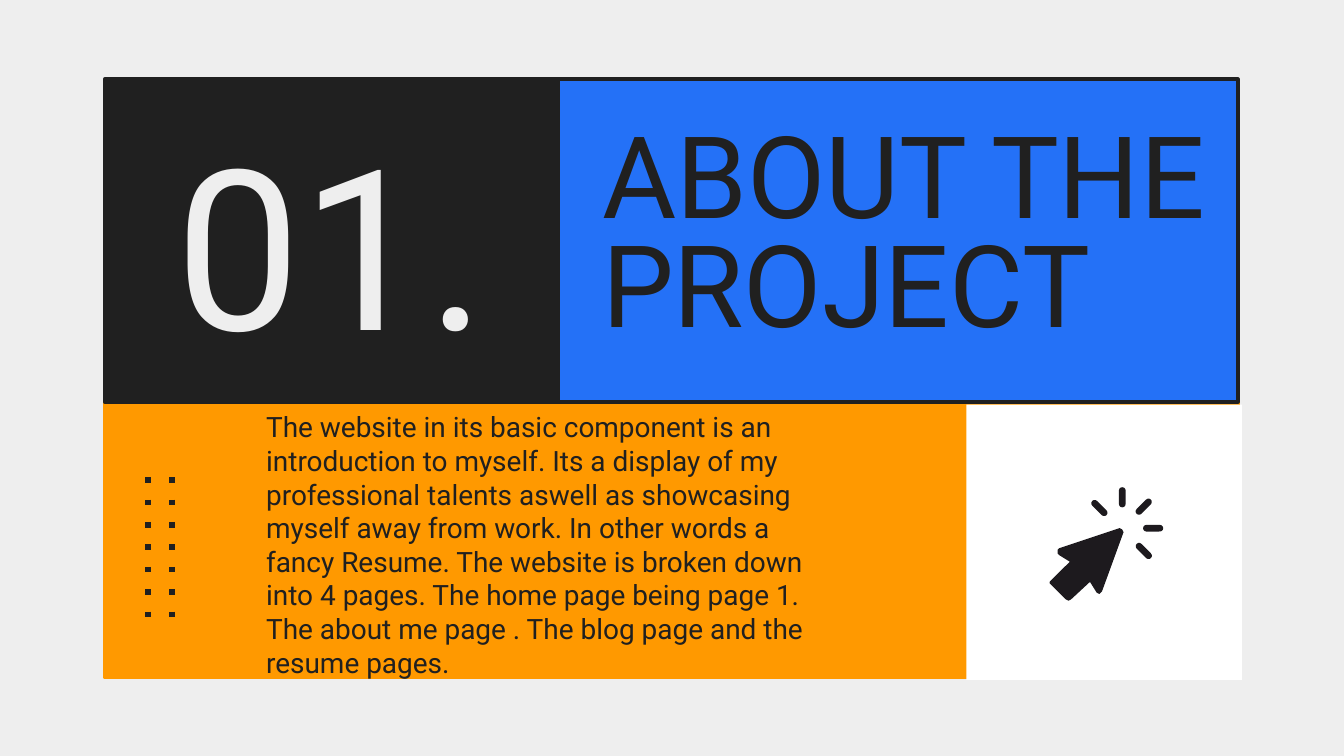
from lxml import etree
from pptx import Presentation
from pptx import util as u
from pptx.dml.color import RGBColor
from pptx.enum import dml, shapes, text
from pptx.oxml.ns import qn

FONT = "Roboto"
DARK, LIGHT, BLUE, ORANGE, WHITE, ICON = (
    "202020", "EEEEEE", "2471F7", "FF9900", "FFFFFF", "1D1A1E")

# Grid: two rows, with the top row split after the number
LEFT, MIDDLE, RIGHT = 0.78, 4.15, 9.21
TOP, ROW = 0.59, 2.4
BOTTOM = TOP + ROW


def rgb(value):
    return RGBColor.from_string(value)


def paint(sp, fill, line=None):
    sp.shadow.inherit = False
    sp.fill.solid()
    sp.fill.fore_color.rgb = rgb(fill)
    if line:
        sp.line.color.rgb = rgb(line)
        sp.line.width = u.Pt(2.25)
    else:
        sp.line.fill.background()


def add_box(s, x, y, w, h, fill, line=None, kind=shapes.MSO_SHAPE.RECTANGLE):
    sp = s.shapes.add_shape(kind, *map(u.Inches, (x, y, w, h)))
    paint(sp, fill, line)
    return sp


def write(sp, words, size, color, align=text.PP_ALIGN.LEFT, spacing=1.0):
    tf = sp.text_frame
    frame = {"word_wrap": True, "auto_size": text.MSO_AUTO_SIZE.NONE,
             "vertical_anchor": text.MSO_ANCHOR.MIDDLE}
    frame.update({f"margin_{side}": u.Inches(0.1)
                  for side in ("left", "right", "top", "bottom")})
    for name, value in frame.items():
        setattr(tf, name, value)
    p = tf.paragraphs[0]
    for name, value in {"alignment": align, "line_spacing": spacing,
                        "space_before": u.Pt(0)}.items():
        setattr(p, name, value)
    r = p.add_run()
    r.text = words
    for name, value in {"name": FONT, "size": u.Pt(size), "bold": False}.items():
        setattr(r.font, name, value)
    r.font.color.rgb = rgb(color)


def fill_placeholder(s, index, box, *args, **kwargs):
    sp = s.placeholders[index]
    sp.left, sp.top, sp.width, sp.height = map(u.Inches, box)
    write(sp, *args, **kwargs)
    s.shapes._spTree.append(sp._element)  # bring in front of the panels


def add_dots(s, x, y1, y2):
    line = s.shapes.add_connector(
        shapes.MSO_CONNECTOR.STRAIGHT, *map(u.Inches, (x, y1, x, y2)))
    line.line.color.rgb = rgb(DARK)
    line.line.width = u.Pt(3)
    line.line.dash_style = dml.MSO_LINE.ROUND_DOT
    line.line._get_or_add_ln().find(qn("a:prstDash")).set("val", "dot")
    etree.SubElement(line._element.spPr, qn("a:effectLst"))


def add_click_icon(s):
    # Pointer, in hundredths of an inch
    points = [(833, 393), (788, 408), (787, 409), (787, 412), (788, 413),
              (796, 418), (782, 432), (781, 433), (781, 434), (782, 435),
              (793, 446), (795, 447), (797, 446), (811, 433), (816, 441),
              (818, 442), (820, 440), (836, 396), (835, 394)]
    builder = s.shapes.build_freeform(*points[0], scale=u.Inches(0.01))
    builder.add_line_segments(points[1:], close=True)
    paint(builder.convert_to_shape(), ICON)
    # Rays: centre and turn of each
    length, width = 0.15, 0.05
    for cx, cy, turn in [(8.18, 3.78, 45), (8.35, 3.7, 90),
                         (8.51, 3.77, 315), (8.58, 3.93, 0), (8.51, 4.1, 45)]:
        ray = add_box(s, cx - length / 2, cy - width / 2, length, width, ICON,
                      kind=shapes.MSO_SHAPE.ROUNDED_RECTANGLE)
        ray.adjustments[0] = 0.5
        ray.rotation = turn


def main():
    prs = Presentation()
    prs.slide_width = u.Inches(10)
    prs.slide_height = prs.slide_width * 9 // 16
    s = prs.slides.add_slide(prs.slide_layouts[0])
    s.background.fill.solid()
    s.background.fill.fore_color.rgb = rgb(LIGHT)

    # Panels
    add_box(s, LEFT, BOTTOM, RIGHT - LEFT, 2.05, ORANGE, ORANGE)
    add_box(s, 7.19, 3.01, 2.05, 2.05, WHITE)
    add_box(s, MIDDLE, TOP, RIGHT - MIDDLE, ROW, BLUE, DARK)
    number = add_box(s, LEFT, TOP, MIDDLE - LEFT, ROW, DARK, DARK)

    # Dotted columns
    for x in (1.1, 1.28):
        add_dots(s, x, 3.55, 4.6)

    # Text
    write(number, "01.", 120, LIGHT, text.PP_ALIGN.CENTER)
    fill_placeholder(s, 0, (4.38, TOP, 4.84, ROW), "ABOUT THE PROJECT",
                     61, DARK, spacing=0.8)
    fill_placeholder(
        s, 1, (1.88, 3.06, 4.24, 1.98),
        "The website in its basic component is an introduction to myself. "
        "Its a display of my professional talents aswell as showcasing myself "
        "away from work. In other words a fancy Resume. The website is broken "
        "down into 4 pages. The home page being page 1. The about me page . "
        "The blog page and the resume pages.", 15, DARK)

    add_click_icon(s)
    prs.save("out.pptx")


if __name__ == "__main__":
    main()
